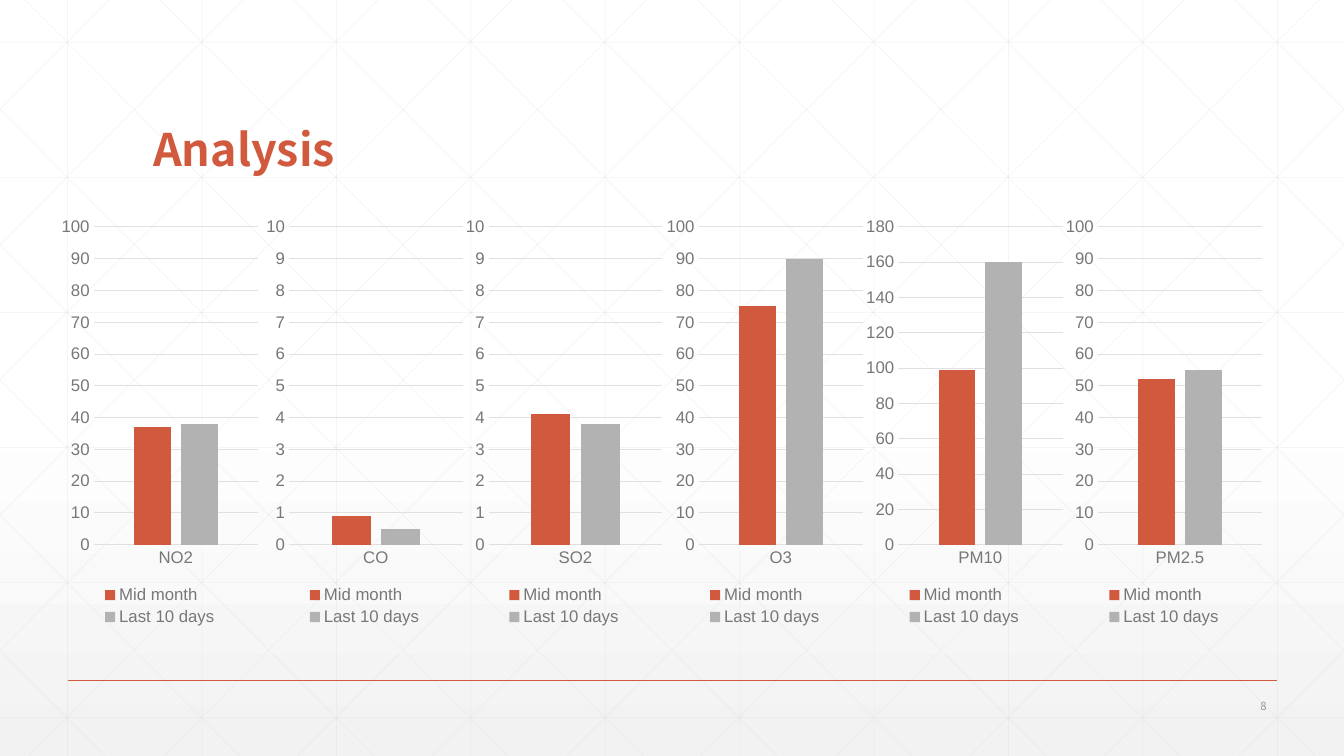
from copy import deepcopy

from lxml.etree import SubElement
from pptx import Presentation
from pptx.chart.data import CategoryChartData
from pptx.dml.color import RGBColor
from pptx.enum.chart import XL_CHART_TYPE, XL_LEGEND_POSITION, XL_TICK_MARK
from pptx.enum.shapes import MSO_CONNECTOR
from pptx.enum.text import MSO_ANCHOR, PP_ALIGN
from pptx.oxml import parse_xml
from pptx.oxml.ns import nsdecls, qn
from pptx.util import Inches, Pt

WIDTH, HEIGHT = 13.33, 7.5
ACCENT, SILVER = "D15A3E", "B2B2B2"
HEADING_FONT = "Noto Sans CJK TC"


def color(item, value):
    """Give a fill, a line's fill or a font a solid hex colour."""
    if hasattr(item, "solid"):
        item.solid()
        item = item.fore_color
    else:
        item = item.color
    item.rgb = RGBColor.from_string(value)


def draw_line(start, end, value, weight, opacity=100):
    """Draw a straight line between two points given in inches."""
    line = page.shapes.add_connector(
        MSO_CONNECTOR.STRAIGHT, *[Inches(length) for length in (*start, *end)])
    color(line.line.fill, value)
    line.line.width = Pt(weight)
    properties = line._element.spPr
    SubElement(properties, qn("a:effectLst"))
    if opacity < 100:
        tone = properties.find(".//" + qn("a:srgbClr"))
        SubElement(tone, qn("a:alpha")).set("val", str(opacity * 1000))


deck = Presentation()
deck.slide_width, deck.slide_height = Inches(WIDTH), Inches(HEIGHT)
page = deck.slides.add_slide(deck.slide_layouts[6])

# Background: white, fading to light grey in the lower half
backdrop = page.background.fill
backdrop.gradient()
backdrop.gradient_angle = 270
first_stop = page._element.find(".//" + qn("a:gs"))
first_stop.addnext(deepcopy(first_stop))
stops = [(0, "FFFFFF"), (0.53, "FFFFFF"), (1, "F2F2F2")]
for stop, (position, value) in zip(backdrop.gradient_stops, stops):
    stop.position = position
    stop.color.rgb = RGBColor.from_string(value)

# Faint grid: uprights, levels and mirrored diagonals cut at the slide edges
grid = []
pitch = 4 / 3
for column in range(10):
    x = 0.67 + column * pitch
    grid.append(((x, 0), (x, HEIGHT)))
for row in range(6):
    y = 0.42 + row * 1.34
    grid.append(((0, y), (WIDTH, y)))
run = 7.46
slope = HEIGHT / run
for step in range(-5, 10):
    x = 0.25 + step * pitch
    left, right = max(x, 0), min(x + run, WIDTH)
    top, bottom = (left - x) * slope, (right - x) * slope
    grid.append(((left, top), (right, bottom)))
    grid.append(((WIDTH - left, top), (WIDTH - right, bottom)))
for start, end in grid:
    draw_line(start, end, "D9D9D9", 0.5, 25)
draw_line((0.67, 6.75), (12.67, 6.75), ACCENT, 1)

# Title and page number
labels = [
    ("Analysis", (1.42, 0.55, 10.5, 1.25), 32, ACCENT, True,
     MSO_ANCHOR.BOTTOM, PP_ALIGN.LEFT),
    ("8", (11.66, 6.88, 1, 0.24), 8, "959795", False,
     MSO_ANCHOR.MIDDLE, PP_ALIGN.RIGHT),
]
for text, place, size, value, bold, anchor, align in labels:
    box = page.shapes.add_textbox(*[Inches(length) for length in place])
    frame = box.text_frame
    frame.word_wrap = True
    frame.vertical_anchor = anchor
    para = frame.paragraphs[0]
    para.alignment = align
    para.line_spacing = 0.9 if bold else 1.0
    span = para.add_run()
    span.text = text
    span.font.name = HEADING_FONT
    span.font.size = Pt(size)
    span.font.bold = bold
    color(span.font, value)

# One chart per pollutant: left, name, mid month, last 10 days, axis top, step
pollutants = [
    (0.57, "NO2", 37, 38, 100, 10),
    (2.6, "CO", 0.9, 0.5, 10, 1),
    (4.58, "SO2", 4.1, 3.8, 10, 1),
    (6.57, "O3", 75, 90, 100, 10),
    (8.55, "PM10", 99, 160, 180, 20),
    (10.53, "PM2.5", 52, 55, 100, 10),
]
for left, name, mid_month, last_days, axis_top, axis_step in pollutants:
    data = CategoryChartData()
    data.categories = [name]
    data.add_series("Mid month", [mid_month])
    data.add_series("Last 10 days", [last_days])
    chart = page.shapes.add_chart(
        XL_CHART_TYPE.COLUMN_CLUSTERED, Inches(left), Inches(2.08),
        Inches(2.03), Inches(4.17), data).chart
    chart.has_title = False
    chart.font.size = Pt(10)
    chart.font.name = "Arial"
    chart._chartSpace.find(qn("c:txPr")).addprevious(parse_xml(
        f"<c:spPr {nsdecls('c', 'a')}><a:noFill/><a:ln><a:noFill/></a:ln></c:spPr>"))

    chart.has_legend = True
    chart.legend.position = XL_LEGEND_POSITION.BOTTOM
    chart.legend.include_in_layout = False
    category_axis, value_axis = chart.category_axis, chart.value_axis
    for font in (chart.legend.font, category_axis.tick_labels.font,
                 value_axis.tick_labels.font):
        font.name = "Arial"
        font.size = Pt(12)
        color(font, "767876")
    for axis in (category_axis, value_axis):
        axis.major_tick_mark = axis.minor_tick_mark = XL_TICK_MARK.NONE
    value_axis.minimum_scale, value_axis.maximum_scale = 0, axis_top
    value_axis.major_unit = axis_step
    value_axis.format.line.fill.background()
    for line in (category_axis.format.line, value_axis.major_gridlines.format.line):
        color(line.fill, "DFE0DF")
        line.width = Pt(0.75)

    plot = chart.plots[0]
    plot.vary_by_categories = False
    plot.gap_width, plot.overlap = 219, -27
    for series, value in zip(plot.series, (ACCENT, SILVER)):
        color(series.format.fill, value)

deck.save("out.pptx")
